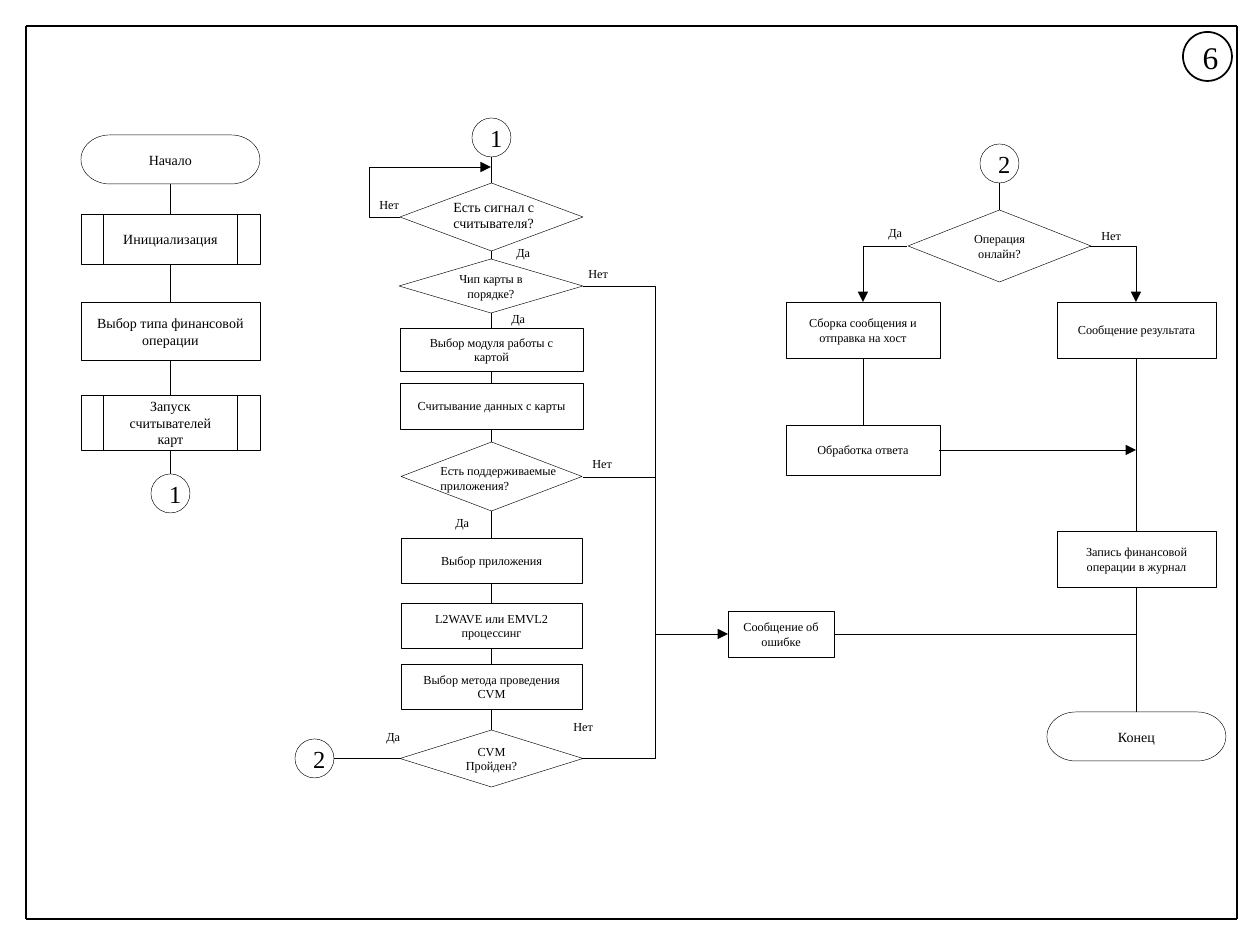
"""Builds a one-page flowchart of a card payment operation."""
from lxml.etree import SubElement
from pptx import Presentation
from pptx.dml.color import RGBColor
from pptx.enum.shapes import MSO_CONNECTOR as LINK, MSO_SHAPE as SHAPE
from pptx.enum.text import MSO_ANCHOR as ANCHOR, MSO_AUTO_SIZE as FIT, PP_ALIGN as ALIGN
from pptx.oxml.ns import qn
from pptx.util import Emu, Pt

COLORS = {"ink": "000000", "paper": "FFFFFF"}
START, CALL, STEP = SHAPE.FLOWCHART_TERMINATOR, SHAPE.FLOWCHART_PREDEFINED_PROCESS, SHAPE.FLOWCHART_PROCESS
CHOICE, JUMP = SHAPE.FLOWCHART_DECISION, SHAPE.FLOWCHART_CONNECTOR


class Flowchart:
    font = "Times New Roman"
    thin, thick = 0.25, 1
    scale = 914400 / 126

    def __init__(self, width, height):
        self.deck = Presentation()
        self.deck.slide_width, self.deck.slide_height = self.emu(width, height)
        self.page = self.deck.slides.add_slide(self.deck.slide_layouts[6])

    def emu(self, *lengths):
        return [Emu(round(length * self.scale)) for length in lengths]

    def color(self, name):
        return RGBColor.from_string(COLORS[name])

    def set_text(self, box, text, size, align, anchor, wrap=True):
        frame = box.text_frame
        frame.text = text
        frame.word_wrap = wrap
        frame.vertical_anchor = anchor
        for para in frame.paragraphs:
            para.alignment = align
            for span in para.runs:
                span.font.name = self.font
                span.font.size = Pt(size)
                span.font.color.rgb = self.color("ink")

    def shape(self, kind, left, top, width, height):
        box = self.page.shapes.add_shape(kind, *self.emu(left, top, width, height))
        box.shadow.inherit = False
        box.fill.solid()
        box.fill.fore_color.rgb = self.color("paper")
        return box

    def node(self, kind, left, top, width, height, text="", size=7, weight=thin):
        box = self.shape(kind, left, top, width, height)
        box.line.color.rgb = self.color("ink")
        box.line.width = Pt(weight)
        if text:
            self.set_text(box, text, size, ALIGN.CENTER, ANCHOR.MIDDLE)

    def label(self, left, top, text):
        box = self.shape(SHAPE.RECTANGLE, left, top, 45 if text == "Нет" else 39, 28)
        box.line.fill.background()
        self.set_text(box, text, 7, ALIGN.LEFT, ANCHOR.TOP, wrap=False)
        box.text_frame.auto_size = FIT.SHAPE_TO_FIT_TEXT

    def caption(self, left, top, width, height, text, size):
        box = self.page.shapes.add_textbox(*self.emu(left, top, width, height))
        self.set_text(box, text, size, ALIGN.LEFT, ANCHOR.TOP)
        box.text_frame.auto_size = FIT.SHAPE_TO_FIT_TEXT

    def line(self, start, end, arrow=False, kind=LINK.STRAIGHT, weight=thin):
        link = self.page.shapes.add_connector(kind, *self.emu(*start, *end))
        link.line.color.rgb = self.color("ink")
        link.line.width = Pt(weight)
        if arrow:
            SubElement(link._element.spPr.find(qn("a:ln")), qn("a:tailEnd"), type="triangle")
        SubElement(link._element.spPr, qn("a:effectLst"))
        return link

    def corner(self, start, end, arrow=False):
        link = self.line(start, end, arrow, LINK.ELBOW)
        link._element.spPr.find(qn("a:prstGeom")).set("prst", "bentConnector2")

    def elbow(self, start, end, bend):
        link = self.line(start, end, True, LINK.ELBOW)
        guides = link._element.spPr.find(qn("a:prstGeom")).find(qn("a:avLst"))
        SubElement(guides, qn("a:gd"), name="adj1", fmla=f"val {round(bend * 100000)}")

    def column(self, center, steps):
        for kind, top, width, height, *text in steps:
            self.node(kind, center - width // 2, top, width, height, *text)
        for upper, lower in zip(steps, steps[1:]):
            self.line((center, upper[1] + upper[3]), (center, lower[1]))


LABELS = [
    (367, 191, "Нет"), (443, 509, "Да"), (580, 450, "Нет"), (876, 219, "Да"),
    (1089, 222, "Нет"), (504, 239, "Да"), (499, 305, "Да"), (576, 260, "Нет"),
    (561, 713, "Нет"), (374, 723, "Да"),
]
COLUMNS = {
    170: [
        (START, 135, 179, 49, "Начало", 8),
        (CALL, 214, 179, 50, "Инициализация", 8),
        (STEP, 302, 179, 58, "Выбор типа финансовой операции", 8),
        (CALL, 395, 179, 55, "Запуск считывателей карт", 8),
        (JUMP, 474, 39, 39, "1", 14),
    ],
    491: [
        (JUMP, 118, 39, 39, "1", 14),
        (CHOICE, 183, 183, 68),
        (CHOICE, 259, 184, 54, "Чип карты в порядке?"),
        (STEP, 328, 183, 43, "Выбор модуля работы с картой"),
        (STEP, 383, 183, 46, "Считывание данных с карты"),
        (CHOICE, 442, 181, 69),
        (STEP, 538, 181, 45, "Выбор приложения"),
        (STEP, 603, 181, 45, "L2WAVE или EMVL2 процессинг"),
        (STEP, 664, 181, 45, "Выбор метода проведения CVM"),
        (CHOICE, 730, 183, 57, "CVM\nПройден?"),
    ],
    999: [
        (JUMP, 144, 39, 39, "2", 14),
        (CHOICE, 210, 183, 72, "Операция онлайн?"),
    ],
    863: [
        (STEP, 302, 154, 56, "Сборка сообщения и отправка на хост"),
        (STEP, 425, 154, 50, "Обработка ответа"),
    ],
    1136: [
        (STEP, 302, 159, 56, "Сообщение результата"),
        (STEP, 531, 159, 56, "Запись финансовой операции в журнал"),
        (START, 712, 179, 49, "Конец", 8),
    ],
}


def main():
    chart = Flowchart(1260, 945)
    left, top, right, bottom = 26, 26, 1237, 919
    corners = [(left, top), (right, top), (right, bottom), (left, bottom)]
    for start, end in zip(corners, corners[1:] + corners[:1]):
        chart.line(start, end, weight=chart.thick)
    chart.node(SHAPE.OVAL, 1183, 32, 49, 49, "6", 18, chart.thick)

    for label in LABELS:
        chart.label(*label)
    for center, steps in COLUMNS.items():
        chart.column(center, steps)
    chart.node(STEP, 728, 611, 106, 46, "Сообщение об ошибке")
    chart.node(JUMP, 295, 739, 39, 39, "2", 14)
    chart.caption(441, 192, 151, 47, "Есть сигнал с считывателя?", 8)
    chart.caption(428, 457, 147, 43, "Есть поддерживаемые приложения?", 7)

    chart.elbow((400, 217), (491, 167), -0.34)
    chart.elbow((583, 286), (728, 634), 0.5)
    chart.corner((583, 758), (655, 634))
    chart.corner((907, 246), (863, 302), arrow=True)
    chart.corner((1090, 246), (1136, 302), arrow=True)
    chart.line((583, 477), (655, 477))
    chart.line((939, 450), (1136, 450), arrow=True)
    chart.line((834, 634), (1136, 634))
    chart.line((400, 758), (334, 758))
    chart.deck.save("out.pptx")


if __name__ == "__main__":
    main()
